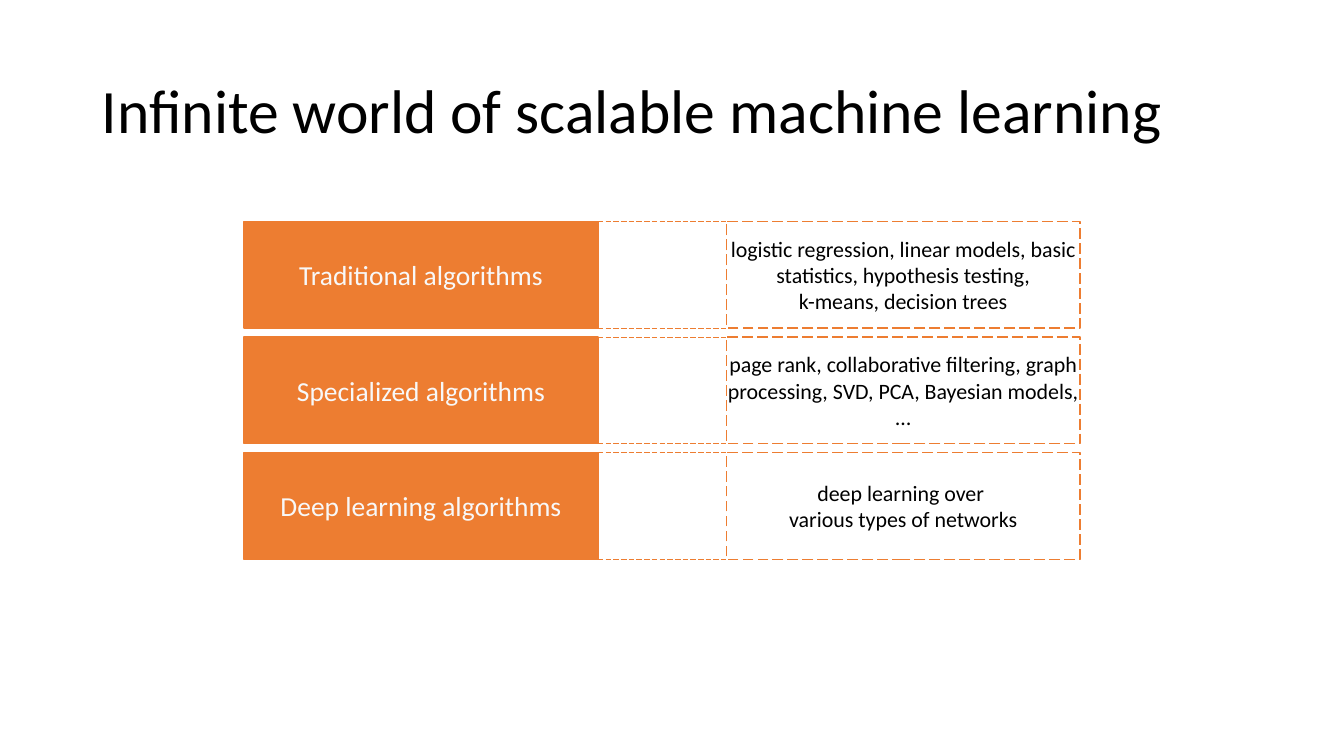
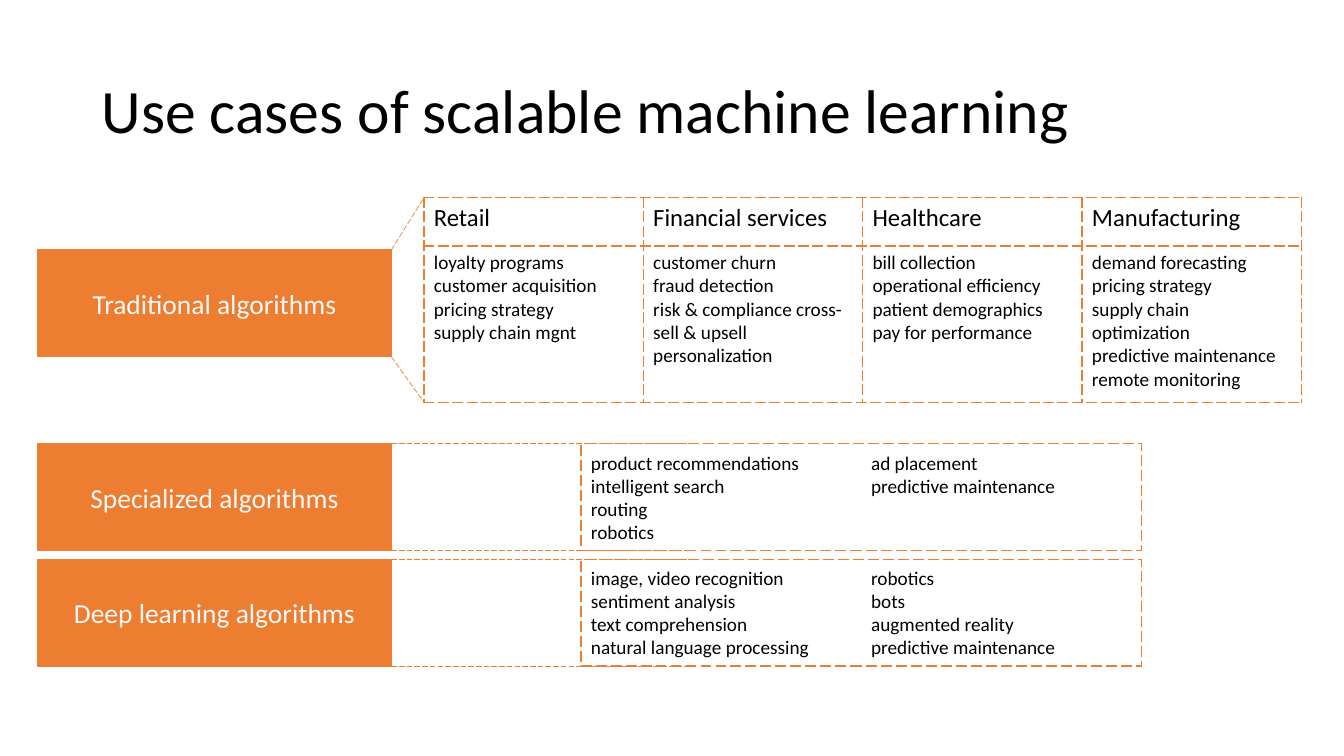
from lxml import etree
from pptx import Presentation
from pptx.dml.color import RGBColor
from pptx.enum.dml import MSO_LINE
from pptx.enum.shapes import MSO_CONNECTOR, MSO_SHAPE
from pptx.enum.text import MSO_ANCHOR, PP_ALIGN
from pptx.oxml.ns import qn
from pptx.util import Inches, Pt

LONG_DASH = MSO_LINE.LONG_DASH
STRAIGHT = MSO_CONNECTOR.STRAIGHT
RECTANGLE = MSO_SHAPE.RECTANGLE
MIDDLE = MSO_ANCHOR.MIDDLE
CENTER = PP_ALIGN.CENTER
LEFT = PP_ALIGN.LEFT

COLORS = {"accent": "ED7D31", "light": "F8F8F8", "paper": "FFFFFF", "ink": "000000"}
FONT = "Calibri"
LABEL_WIDTH = 3.58
ROW_HEIGHT = 1.08
ROW_PITCH = 1.17

CATEGORIES = ["Traditional algorithms", "Specialized algorithms", "Deep learning algorithms"]
EXAMPLES = [
    "logistic regression, linear models, basic statistics, hypothesis testing,\vk-means, decision trees",
    "page rank, collaborative filtering, graph processing, SVD, PCA, Bayesian models, …",
    "deep learning over \vvarious types of networks",
]
INDUSTRIES = {
    "Retail": ["loyalty programs", "customer acquisition", "pricing strategy", "supply chain mgnt"],
    "Financial services": [
        "customer churn", "fraud detection", "risk & compliance cross-sell & upsell", "personalization",
    ],
    "Healthcare": [
        "bill collection", "operational efficiency", "patient demographics", "pay for performance",
    ],
    "Manufacturing": [
        "demand forecasting", "pricing strategy", "supply chain optimization",
        "predictive maintenance", "remote monitoring",
    ],
}
USE_CASES = [
    [
        "product recommendations", "intelligent search", "routing", "robotics",
        "ad placement", "predictive maintenance",
    ],
    [
        "image, video recognition", "sentiment analysis", "text comprehension",
        "natural language processing", "robotics", "bots", "augmented reality",
        "predictive maintenance",
    ],
]


def color(name):
    return RGBColor.from_string(COLORS[name])


def write(text_frame, text, size, color_name, alignment=LEFT):
    text_frame.text = text
    for paragraph in text_frame.paragraphs:
        paragraph.alignment = alignment
        for run in paragraph.runs:
            run.font.name = FONT
            run.font.size = Pt(size)
            run.font.color.rgb = color(color_name)


def add_titled_slide(presentation, title):
    slide = presentation.slides.add_slide(presentation.slide_layouts[6])
    box = slide.shapes.add_textbox(Inches(0.93), Inches(0.41), Inches(11.73), Inches(1.48))
    text_frame = box.text_frame
    text_frame.word_wrap = True
    text_frame.vertical_anchor = MIDDLE
    write(text_frame, title, 44.9, "ink")
    text_frame.paragraphs[0].line_spacing = 0.9
    return slide


def add_box(slide, left, top, width, fill, text, size, text_color, alignment=CENTER):
    shape = slide.shapes.add_shape(
        RECTANGLE, Inches(left), Inches(top), Inches(width), Inches(ROW_HEIGHT))
    shape.shadow.inherit = False
    shape.fill.solid()
    shape.fill.fore_color.rgb = color(fill)
    shape.line.color.rgb = color("accent")
    shape.line.width = Pt(1)
    text_frame = shape.text_frame
    text_frame.word_wrap = True
    text_frame.vertical_anchor = MIDDLE
    text_frame.margin_left = text_frame.margin_right = 0
    write(text_frame, text, size, text_color, alignment)
    return shape


def add_label(slide, left, top, text):
    add_box(slide, left, top, LABEL_WIDTH, "accent", text, 20, "light")


def add_detail(slide, left, top, width, text, size, alignment=CENTER):
    shape = add_box(slide, left, top, width, "paper", text, size, "ink", alignment)
    shape.line.dash_style = LONG_DASH
    return shape


def add_guide(slide, start, end):
    connector = slide.shapes.add_connector(STRAIGHT, *map(Inches, start + end))
    connector.line.color.rgb = color("accent")
    connector.line.width = Pt(0.5)
    connector.line.dash_style = LONG_DASH
    etree.SubElement(connector._element.spPr, qn("a:effectLst"))


def add_guides(slide, label_left, label_top, end, end_top, end_bottom):
    start = label_left + LABEL_WIDTH
    add_guide(slide, (start, label_top), (end, end_top))
    add_guide(slide, (start, label_top + ROW_HEIGHT), (end, end_bottom))


def add_level_guides(slide, label_left, top, end):
    add_guides(slide, label_left, top, end, top, top + ROW_HEIGHT)


def add_use_cases(slide, left, top, width, items):
    shape = add_detail(slide, left, top, width, "\n".join(items), 14, LEFT)
    shape.text_frame._txBody.bodyPr.set("numCol", "2")
    for paragraph in shape.text_frame.paragraphs:
        paragraph._p.get_or_add_pPr().set("marL", str(Inches(0.1)))


def format_cell(cell):
    properties = cell._tc.get_or_add_tcPr()
    for side in ("lnL", "lnR", "lnT", "lnB"):
        border = etree.SubElement(properties, qn(f"a:{side}"), w=str(Pt(1)))
        fill = etree.SubElement(border, qn("a:solidFill"))
        etree.SubElement(fill, qn("a:srgbClr"), val=COLORS["accent"])
        etree.SubElement(border, qn("a:prstDash"), val="lgDash")
    cell.fill.solid()
    cell.fill.fore_color.rgb = color("paper")


def add_industry_table(slide, left, top, column_width, row_heights):
    frame = slide.shapes.add_table(
        2, len(INDUSTRIES), Inches(left), Inches(top),
        Inches(column_width * len(INDUSTRIES)), Inches(sum(row_heights)))
    table = frame.table
    table.first_row = table.horz_banding = False
    for row, height in zip(table.rows, row_heights):
        row.height = Inches(height)
    for index, (industry, items) in enumerate(INDUSTRIES.items()):
        table.columns[index].width = Inches(column_width)
        for row_index, (text, size) in enumerate([(industry, 18), ("\n".join(items), 14)]):
            cell = table.cell(row_index, index)
            format_cell(cell)
            write(cell.text_frame, text, size, "ink")


def build_algorithms_slide(presentation):
    slide = add_titled_slide(presentation, "Infinite world of scalable machine learning")
    label_left, detail_left, first_top = 2.47, 7.35, 2.24
    for index, (category, examples) in enumerate(zip(CATEGORIES, EXAMPLES)):
        top = first_top + index * ROW_PITCH
        add_label(slide, label_left, top, category)
        add_level_guides(slide, label_left, top, detail_left)
        add_detail(slide, detail_left, top, LABEL_WIDTH, examples, 16)


def build_use_cases_slide(presentation):
    slide = add_titled_slide(presentation, "Use cases of scalable machine learning")
    label_left, label_top = 0.38, 2.53
    table_left, table_top, row_heights = 4.29, 2, (0.49, 1.58)
    add_label(slide, label_left, label_top, CATEGORIES[0])
    add_guides(slide, label_left, label_top, table_left, table_top, table_top + sum(row_heights))
    add_industry_table(slide, table_left, table_top, 2.22, row_heights)
    for index, (category, items) in enumerate(zip(CATEGORIES[1:], USE_CASES)):
        top = 4.49 + index * ROW_PITCH
        add_label(slide, label_left, top, category)
        add_use_cases(slide, 5.88, top, 5.67, items)
        add_level_guides(slide, label_left, top, 6.95)


def main():
    presentation = Presentation()
    presentation.slide_width = Inches(13.6)
    presentation.slide_height = Inches(7.65)
    build_algorithms_slide(presentation)
    build_use_cases_slide(presentation)
    presentation.save("out.pptx")


if __name__ == "__main__":
    main()
